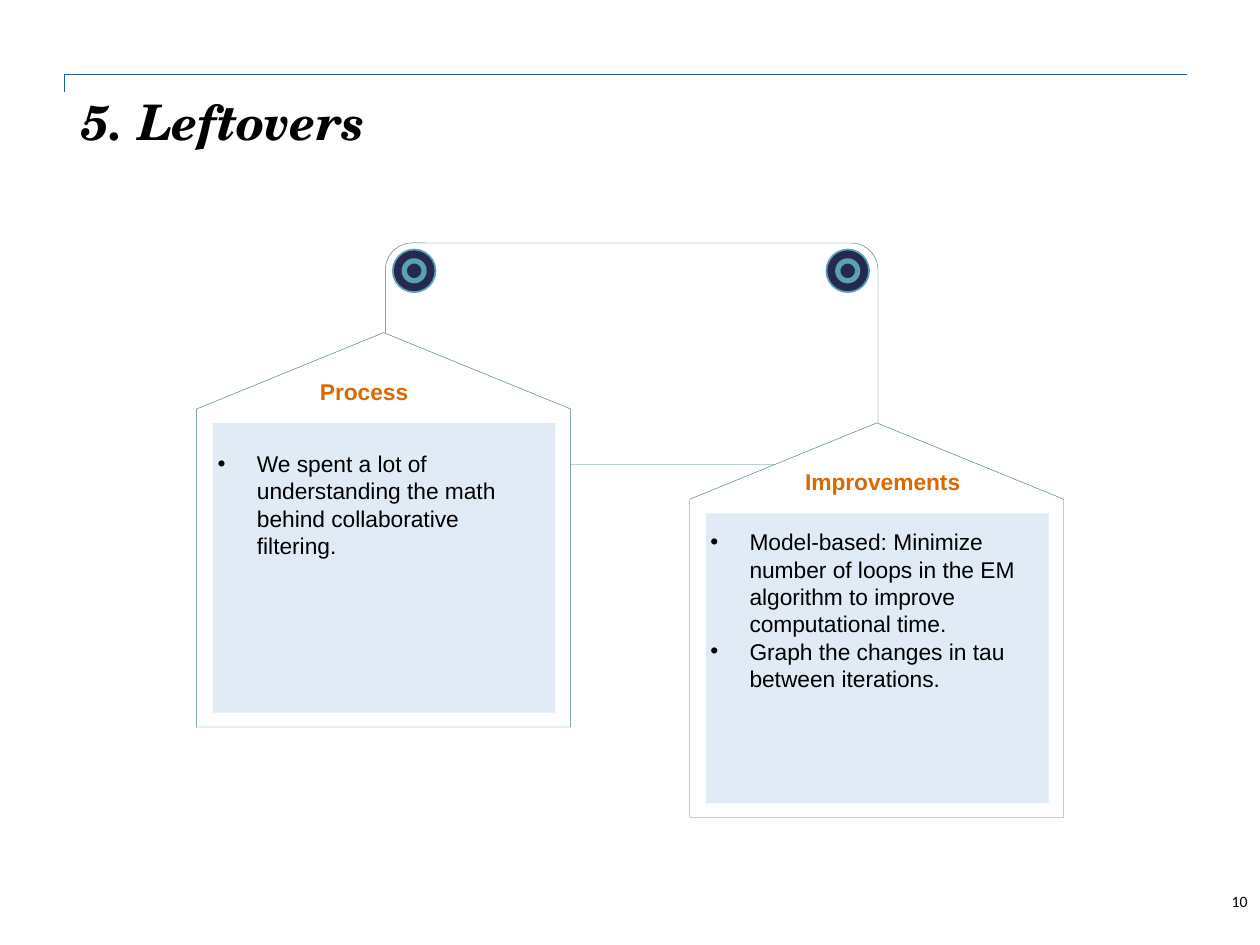
from dataclasses import dataclass

from lxml.etree import SubElement
from pptx import Presentation
from pptx.dml.color import RGBColor
from pptx.enum.shapes import MSO_SHAPE
from pptx.enum.text import MSO_ANCHOR, PP_ALIGN
from pptx.oxml.ns import qn
from pptx.util import Cm, Pt


@dataclass(frozen=True)
class Theme:
    """Colours, fonts and type sizes of the slide."""
    ink: str = "000000"
    rule: str = "1F5FA0"
    edge: str = "417B85"
    paper: str = "FFFFFF"
    panel: str = "E0EBF6"
    hub: str = "242852"
    rim: str = "5AA2AE"
    accent: str = "DC6900"
    serif: str = "TeX Gyre Schola"
    sans: str = "Arial"
    small: str = "Calibri"
    head: int = 28
    body: int = 13
    note: int = 9


def assign(target, values):
    """Set each named attribute on the target."""
    for name, value in values.items():
        setattr(target, name, value)


class Deck:
    """Holds the theme and the current slide."""

    def __init__(self, theme):
        """Start a deck with one blank slide."""
        self.theme = theme
        self.show = Presentation()
        assign(self.show, {"slide_width": Cm(25.4), "slide_height": Cm(19.05)})
        self.slide = self.show.slides.add_slide(self.show.slide_layouts[6])

    def shape(self, kind, box, fill=None, line=None, width=0.25, turn=0, adj=(), home=None):
        """Add a preset shape to the slide or to a group."""
        home = home or self.slide.shapes
        item = home.add_shape(kind, *map(Cm, box))
        item.shadow.inherit = False
        item.rotation = turn
        for spot, value in enumerate(adj):
            item.adjustments[spot] = value
        if fill:
            item.fill.solid()
            item.fill.fore_color.rgb = RGBColor.from_string(fill)
        else:
            item.fill.background()
        if line:
            item.line.color.rgb = RGBColor.from_string(line)
            item.line.width = Pt(width)
        else:
            item.line.fill.background()

    def text(self, box, lines, color, bullet=False, frame=None, para=None, **font):
        """Add a text box with one paragraph for each line."""
        area = self.slide.shapes.add_textbox(*map(Cm, box)).text_frame
        assign(area, {"word_wrap": True, **(frame or {})})
        for spot, line in enumerate(lines):
            part = area.add_paragraph() if spot else area.paragraphs[0]
            assign(part, para or {})
            run = part.add_run()
            run.text = line
            assign(run.font, font)
            run.font.color.rgb = RGBColor.from_string(color)
            if bullet:
                props = part._p.get_or_add_pPr()
                props.set("marL", str(Cm(0.79)))
                props.set("indent", str(-Cm(0.79)))
                SubElement(props, qn("a:buFont"), typeface=self.theme.sans)
                SubElement(props, qn("a:buChar"), char="•")

    def corner(self, box):
        """Add a one-cell table ruled on its left and top."""
        table = self.slide.shapes.add_table(1, 1, *map(Cm, box)).table
        assign(table, {"first_row": False, "horz_banding": False})
        cell = table.cell(0, 0)
        sides = ("left", "right", "top", "bottom")
        assign(cell, {f"margin_{side}": 0 for side in sides})
        cell.fill.background()
        mark = cell.text_frame.paragraphs[0]._p
        SubElement(mark, qn("a:endParaRPr"), sz="600")
        props = cell._tc.get_or_add_tcPr()
        for spot, side in enumerate("LRTB"):
            edge = SubElement(props, qn(f"a:ln{side}"), w=str(Pt(1)))
            props.insert(spot, edge)
            if side in "LT":
                fill = SubElement(edge, qn("a:solidFill"))
                SubElement(fill, qn("a:srgbClr"), val=self.theme.rule)
            else:
                SubElement(edge, qn("a:noFill"))

    def wheel(self, left, top):
        """Add a pulley made of two grouped rings."""
        home = self.slide.shapes.add_group_shape().shapes
        for inset, size, width in ((0, 0.86, 1), (0.23, 0.4, 3)):
            box = (left + inset, top + inset, size, size)
            self.shape(MSO_SHAPE.OVAL, box, self.theme.hub, self.theme.rim, width, home=home)

    def house(self, dx, dy):
        """Add a hanging card with its inner panel."""
        look = self.theme
        self.shape(MSO_SHAPE.RIGHT_ARROW, (3.76 + dx, 6.91 + dy, 7.95, 7.54),
                   look.paper, look.edge, turn=270, adj=(1, 0.204))
        self.shape(MSO_SHAPE.RECTANGLE, (4.29 + dx, 8.53 + dy, 6.91, 5.84), look.panel)


def main():
    """Build and save the slide."""
    look = Theme()
    deck = Deck(look)
    body = {"name": look.sans, "size": Pt(look.body)}
    deck.text((19.69, 17.65, 5.71, 1.02), ["10"], look.ink,
              frame={"vertical_anchor": MSO_ANCHOR.MIDDLE},
              para={"alignment": PP_ALIGN.RIGHT}, name=look.small, size=Pt(look.note))
    deck.corner((1.3, 1.5, 22.63, 0.36))
    deck.text((1.4, 1.85, 22.43, 2.54), ["5. Leftovers"], look.ink,
              para={"line_spacing": 0.9}, name=look.serif, size=Pt(look.head),
              bold=True, italic=True)
    deck.shape(MSO_SHAPE.ROUNDED_RECTANGLE, (7.77, 4.9, 9.93, 4.47),
               line=look.edge, adj=(0.121,))
    cards = (
        ("Process", (6.2, 7.49, 3.12, 0.81), (4.14, 8.94, 6.96, 2.49),
         ["We spent a lot of understanding the math behind collaborative filtering."]),
        ("Improvements", (15.98, 9.3, 4.83, 0.81), (14.07, 10.52, 7.21, 3.58),
         ["Model-based: Minimize number of loops in the EM algorithm "
          "to improve computational time.",
          "Graph the changes in tau between iterations."]),
    )
    for spot, (name, label, area, lines) in enumerate(cards):
        deck.house(9.94 * spot, 1.82 * spot)
        deck.wheel(7.92 + 8.74 * spot, 5.03)
        deck.text(area, lines, look.ink, bullet=True, **body)
        deck.text(label, [name], look.accent, bold=True, **body)
    deck.show.save("out.pptx")


if __name__ == "__main__":
    main()
